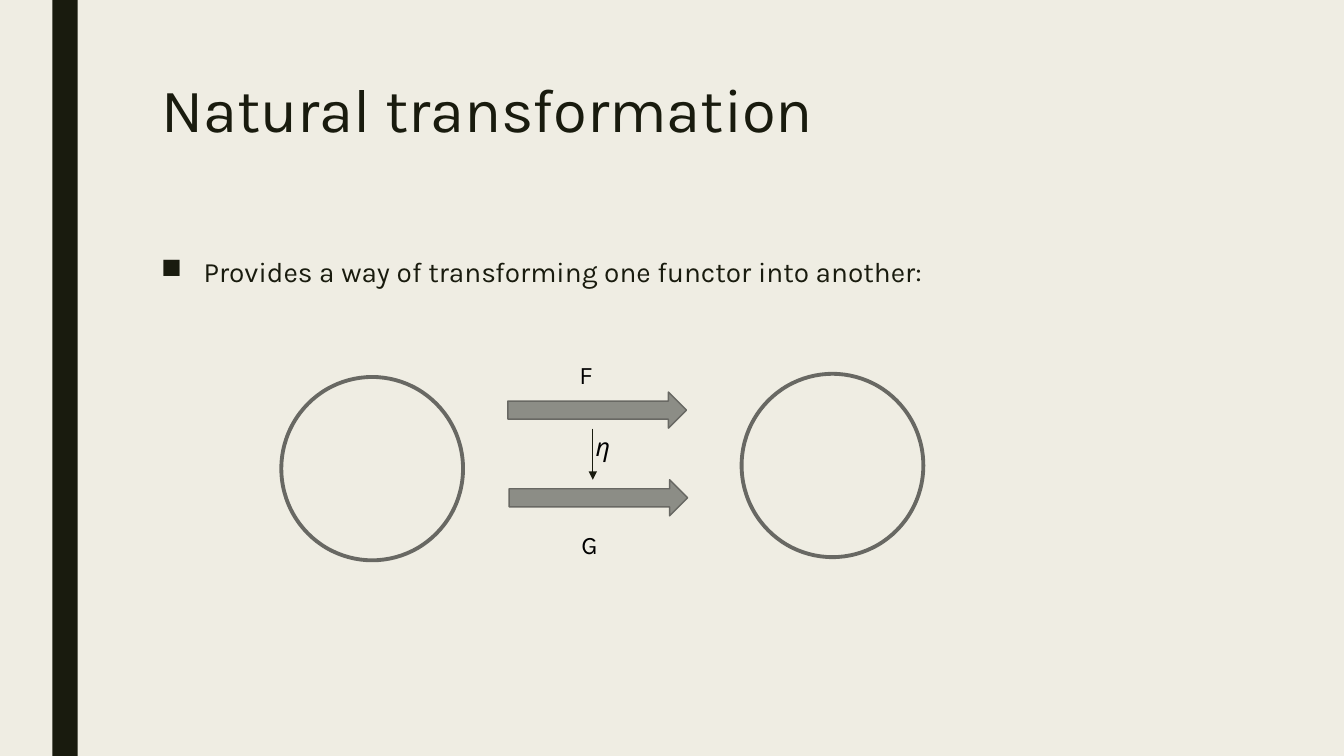
from lxml import etree
from pptx import Presentation
from pptx.dml.color import RGBColor
from pptx.enum.shapes import MSO_CONNECTOR, MSO_SHAPE
from pptx.enum.text import MSO_ANCHOR
from pptx.oxml.ns import qn
from pptx.util import Cm, Pt

RECT = MSO_SHAPE.RECTANGLE
OVAL = MSO_SHAPE.OVAL
ARROW = MSO_SHAPE.RIGHT_ARROW
STRAIGHT = MSO_CONNECTOR.STRAIGHT
TOP = MSO_ANCHOR.TOP

CREAM = RGBColor(0xEF, 0xED, 0xE3)
INK = RGBColor(0x19, 0x1B, 0x0E)
OUTLINE = RGBColor(0x68, 0x68, 0x63)
GRAY = RGBColor(0x8C, 0x8D, 0x86)
BLACK = RGBColor(0, 0, 0)
FONT = "Karla"

prs = Presentation()
prs.slide_width = Cm(33.87)
prs.slide_height = Cm(19.05)
s = prs.slides.add_slide(prs.slide_layouts[6])
s.background.fill.solid()
s.background.fill.fore_color.rgb = CREAM


def add_text(text, x, y, w, h, size, color, italic=False):
    tf = s.shapes.add_textbox(Cm(x), Cm(y), Cm(w), Cm(h)).text_frame
    tf.word_wrap = True
    tf.vertical_anchor = TOP
    p = tf.paragraphs[0]
    r = p.add_run()
    r.text = text
    r.font.name = FONT
    r.font.size = Pt(size)
    r.font.italic = italic
    r.font.color.rgb = color
    return p


def add_shape(kind, x, y, w, h, fill=None, line_width=None):
    sp = s.shapes.add_shape(kind, Cm(x), Cm(y), Cm(w), Cm(h))
    sp.shadow.inherit = False
    if fill is None:
        sp.fill.background()
    else:
        sp.fill.solid()
        sp.fill.fore_color.rgb = fill
    if line_width is None:
        sp.line.fill.background()
    else:
        sp.line.color.rgb = OUTLINE
        sp.line.width = Pt(line_width)


add_shape(RECT, 1.32, 0, 0.64, 19.05, fill=INK)

p = add_text("Natural transformation", 3.81, 1.9, 26.67, 4.11, 44, INK)
p.line_spacing = 0.89

p = add_text("Provides a way of transforming one functor into another:",
             3.81, 6.35, 26.67, 9.96, 20, INK)
p.line_spacing = 0.94
p.space_after = Pt(2)
pPr = p._p.get_or_add_pPr()
pPr.set("marL", str(Cm(1.07)))
pPr.set("indent", str(-Cm(1.07)))
etree.SubElement(pPr, qn("a:buChar")).set("char", "■")

for x, y in [(7.09, 9.5), (18.69, 9.42)]:
    add_shape(OVAL, x, y, 4.58, 4.62, line_width=2.75)

for x, y in [(12.8, 9.88), (12.83, 12.09)]:
    add_shape(ARROW, x, y, 4.5, 0.91, fill=GRAY, line_width=1)

for label, x, y, w, italic in [
    ("F", 14.35, 8.92, 1.42, False),
    ("G", 14.4, 13.21, 1, False),
    ("η", 14.76, 10.74, 1.42, True),
]:
    add_text(label, x, y, w, 1.02, 18, BLACK, italic)

eta = s.shapes.add_connector(STRAIGHT, Cm(14.94), Cm(10.8), Cm(14.94), Cm(12.09))
eta.line.color.rgb = INK
eta.line.width = Pt(0.5)
etree.SubElement(eta.line._get_or_add_ln(), qn("a:tailEnd")).set("type", "triangle")
etree.SubElement(eta._element.spPr, qn("a:effectLst"))

prs.save("out.pptx")
